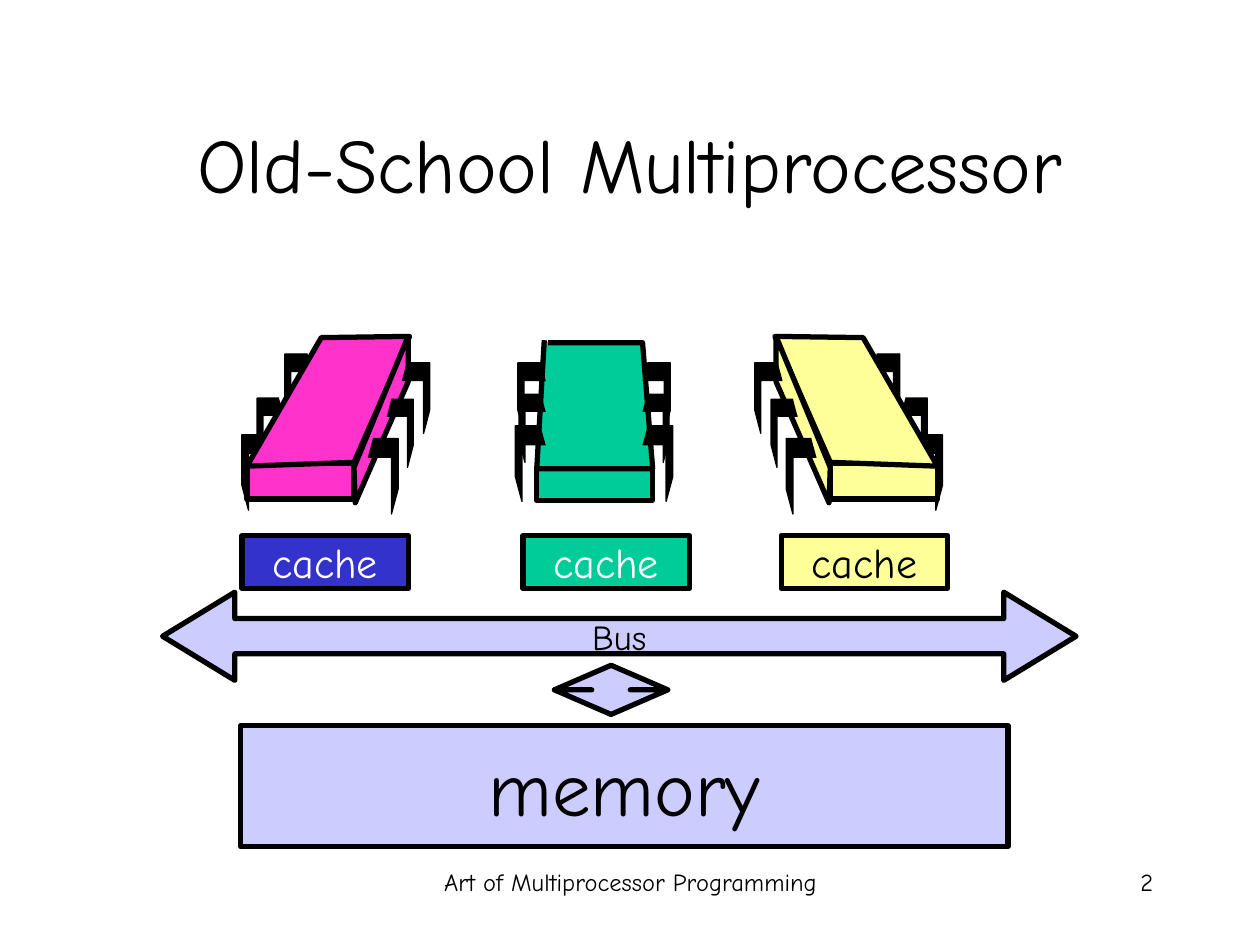
from pptx import Presentation
from pptx.dml.color import RGBColor
from pptx.enum.shapes import MSO_SHAPE as Shape
from pptx.enum.text import MSO_ANCHOR as Anchor, PP_ALIGN as Align
from pptx.util import Inches, Pt

COLORS = {
    "black": "000000", "white": "FFFFFF", "blue": "3333CC", "pink": "FF33CC",
    "green": "00CC99", "yellow": "FFFF99", "lavender": "CCCCFF",
}


def paint(shape, fill, line_width=3):
    shape.shadow.inherit = False
    shape.fill.solid()
    shape.fill.fore_color.rgb = RGBColor.from_string(COLORS[fill])
    shape.line.color.rgb = RGBColor.from_string(COLORS["black"])
    shape.line.width = Pt(line_width)


def write(shape, text, size, color="black", align=Align.CENTER, anchor=Anchor.MIDDLE, wrap=False):
    frame = shape.text_frame
    frame.word_wrap = wrap
    frame.vertical_anchor = anchor
    para = frame.paragraphs[0]
    para.alignment = align
    span = para.add_run()
    span.text = text
    span.font.name = "Comic Neue"
    span.font.size = Pt(size)
    span.font.color.rgb = RGBColor.from_string(COLORS[color])


deck = Presentation()
deck.slide_width, deck.slide_height = Inches(10), Inches(7.5)
page = deck.slides.add_slide(deck.slide_layouts[5])

# Title
title = page.shapes.title
title.left, title.top, title.width, title.height = map(Inches, (0.75, 0.67, 8.5, 1.25))
write(title, "Old-School Multiprocessor", 44, wrap=True)

# Footer and slide number
for text, left, width, align in (
    ("Art of Multiprocessor Programming", 3.42, 3.17, Align.CENTER),
    ("2", 7.17, 2.08, Align.RIGHT),
):
    box = page.shapes.add_textbox(Inches(left), Inches(6.83), Inches(width), Inches(0.5))
    write(box, text, 14, align=align, anchor=Anchor.TOP, wrap=True)

# Chip parts, back to front: a face is (points, closed), a leg is (inner x, top, size, side)
BIG, SMALL, MEDIUM = (0.24, 0.6), (0.21, 0.54), (0.22, 0.56)
LEG_OUTLINE = ((0.17, 0), (1, 0), (1, 0.67), (0.78, 1), (0.78, 0.25), (0, 0.25))

slanted_front = (1.96, 3.68, 0.85, 0.28)
slanted_parts = [
    ("leg", (2.16, 3.45, BIG, -1)),
    ("leg", (2.25, 3.16, SMALL, -1)),
    ("leg", (2.48, 2.81, MEDIUM, -1)),
    ("face", ([(1.96, 3.7), (2.81, 3.67), (3.25, 2.67), (2.55, 2.68)], True)),
    ("face", ([(3.24, 2.67), (3.24, 3.03), (2.82, 3.99), (2.81, 3.71)], True)),
    ("leg", (2.92, 3.48, BIG, 1)),
    ("leg", (3.07, 3.17, SMALL, 1)),
    ("leg", (3.19, 2.88, MEDIUM, 1)),
]
straight_front = (4.26, 3.72, 0.92, 0.25)
straight_parts = [
    ("face", ([(4.35, 2.72), (5.1, 2.72), (5.18, 3.72), (4.26, 3.72), (4.32, 2.7)], False)),
] + [
    ("leg", (inner, top, size, side))
    for inner, side in ((5.1, 1), (4.33, -1))
    for top, size in ((3.38, BIG), (3.13, SMALL), (2.88, MEDIUM))
]

# Processor chips; the yellow one mirrors the pink one
MIRROR_SUM = 9.4
for color, front, parts, mirrored in (
    ("green", straight_front, straight_parts, False),
    ("pink", slanted_front, slanted_parts, False),
    ("yellow", slanted_front, slanted_parts, True),
):
    chip = page.shapes.add_group_shape()
    left, top, width, height = front
    if mirrored:
        left = MIRROR_SUM - left - width
    face = chip.shapes.add_shape(Shape.RECTANGLE, *map(Inches, (left, top, width, height)))
    paint(face, color)
    for kind, detail in parts:
        if kind == "leg":
            inner, top, (width, height), side = detail
            points = [(inner + side * width * u, top + height * v) for u, v in LEG_OUTLINE]
            closed = False
        else:
            points, closed = detail
        if mirrored:
            points = [(MIRROR_SUM - x, y) for x, y in points]
        corners = [(Inches(x), Inches(y)) for x, y in points]
        outline = chip.shapes.build_freeform(*corners[0])
        outline.add_line_segments(corners[1:], close=closed)
        if kind == "leg":
            paint(outline.convert_to_shape(), "black", 0.75)
        else:
            paint(outline.convert_to_shape(), color)

# Caches, bus, memory and the arrow between them
for kind, frame, adjustments, fill, text, size, color in (
    (Shape.RECTANGLE, (1.92, 4.25, 1.32, 0.42), (), "blue", "cache", 24, "white"),
    (Shape.LEFT_RIGHT_ARROW, (1.29, 4.7, 7.25, 0.7), (0.4, 0.82), "lavender", "Bus", 20, "black"),
    (Shape.RECTANGLE, (1.91, 5.76, 6.09, 0.96), (), "lavender", "memory", 44, "black"),
    (Shape.UP_DOWN_ARROW, (4.4, 5.28, 0.9, 0.39), (0.5, 0.34), "lavender", "", 0, ""),
    (Shape.RECTANGLE, (6.2, 4.25, 1.32, 0.42), (), "yellow", "cache", 24, "black"),
    (Shape.RECTANGLE, (4.15, 4.25, 1.32, 0.42), (), "green", "cache", 24, "white"),
):
    block = page.shapes.add_shape(kind, *map(Inches, frame))
    for index, value in enumerate(adjustments):
        block.adjustments[index] = value
    paint(block, fill)
    if text:
        write(block, text, size, color)

deck.save("out.pptx")
